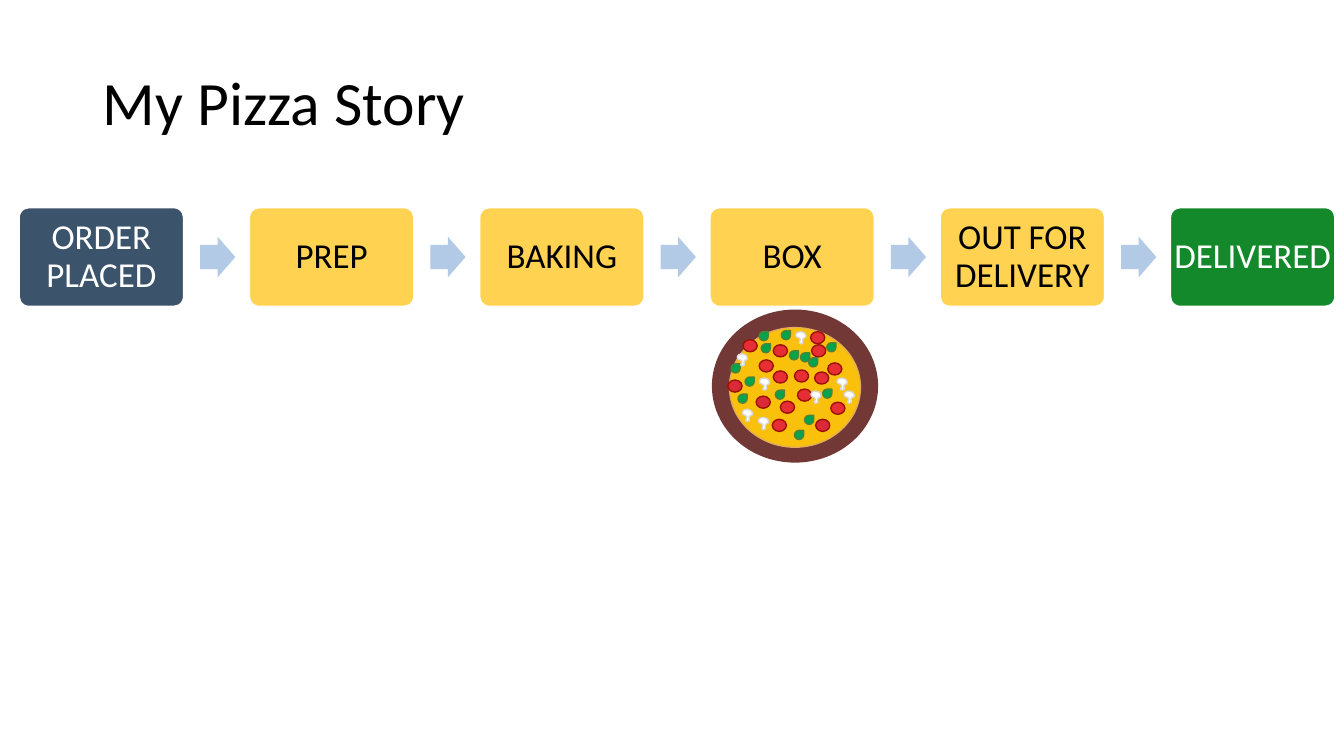
from lxml.etree import SubElement
from pptx import Presentation
from pptx.dml.color import RGBColor
from pptx.enum.shapes import MSO_SHAPE
from pptx.enum.text import MSO_ANCHOR, PP_ALIGN
from pptx.oxml.ns import qn
from pptx.util import Inches, Pt

COLORS = {
    "black": "000000", "white": "FFFFFF",
    "navy": "3B536B", "yellow": "FFD351", "green": "13892B", "arrow": "B3CAE7",
    "crust": "723836", "crust_fill": "E4AD56", "cheese": "F9C00C",
    "tomato": "E72E34", "dark_tomato": "DA2A37", "tomato_edge": "9C1200",
    "basil": "02A44D", "basil_edge": "548135", "mushroom_edge": "D8D8D8",
}
STEPS = [
    ("ORDER PLACED", "navy", "white"),
    ("PREP", "yellow", "black"),
    ("BAKING", "yellow", "black"),
    ("BOX", "yellow", "black"),
    ("OUT FOR DELIVERY", "yellow", "black"),
    ("DELIVERED", "green", "white"),
]

# Topping corners in hundredths of an inch from the pizza's top left
TOMATOES = [(54, 54), (40, 43), (78, 72), (61, 84), (54, 28), (53, 102), (95, 55),
            (75, 53), (108, 46), (111, 85), (24, 23), (91, 15), (92, 28)]
DARK_TOMATOES = [(37, 79), (9, 63), (96, 102)]
BASIL = [(56, 73), (85, 98), (19, 77), (103, 72), (89, 41), (75, 113), (62, 14),
         (42, 27), (12, 47), (26, 60), (107, 26), (81, 36), (70, 34), (40, 15)]
MUSHROOMS = [(76, 15), (124, 74), (91, 74), (40, 61), (18, 37), (23, 92),
             (117, 61), (39, 100)]
# Mushroom outline in hundredths: start, then two handles and an end per curve
MUSHROOM_SIZE = (10, 12)
MUSHROOM_START = (3, 6)
MUSHROOM_CURVES = [
    ((-1, 6), (-1, 0), (5, 0)),
    ((11, 0), (12, 7), (8, 6.5)),
    ((5, 8), (10, 12), (5, 12)),
    ((1, 12), (8, 7), (3, 6)),
]


def color(name):
    return RGBColor.from_string(COLORS[name])


def write(frame, text, size, ink, align=PP_ALIGN.LEFT, margins=(0, 0)):
    frame.word_wrap = True
    frame.vertical_anchor = MSO_ANCHOR.MIDDLE
    frame.margin_left = frame.margin_right = Inches(margins[0])
    frame.margin_top = frame.margin_bottom = Inches(margins[1])
    paragraph = frame.paragraphs[0]
    paragraph.alignment = align
    paragraph.line_spacing = 0.9
    run = paragraph.add_run()
    run.text = text
    run.font.name = "Calibri"
    run.font.size = Pt(size)
    run.font.color.rgb = color(ink)


def paint(shape, fill, edge=None, weight=1):
    shape.shadow.inherit = False
    shape.fill.solid()
    shape.fill.fore_color.rgb = color(fill)
    if edge:
        shape.line.color.rgb = color(edge)
        shape.line.width = Pt(weight)
    else:
        shape.line.fill.background()


def draw(shapes, kind, box, fill, edge=None, weight=1, adjust=()):
    shape = shapes.add_shape(kind, *[Inches(length) for length in box])
    for index, value in enumerate(adjust):
        shape.adjustments[index] = value
    paint(shape, fill, edge, weight)
    return shape


def add_title(slide, left, top, width, height):
    title = slide.shapes.title
    title.left, title.top = Inches(left), Inches(top)
    title.width, title.height = Inches(width), Inches(height)
    write(title.text_frame, "My Pizza Story", 44, "black", margins=(0.1, 0.05))


def add_process(slide, left, top, width, height):
    # Each step is followed by a gap of 0.4 step widths
    step_width = width / (len(STEPS) + 0.4 * (len(STEPS) - 1))
    pitch = 1.4 * step_width
    arrow_width, arrow_height = 0.35, 0.4
    for index, (label, fill, ink) in enumerate(STEPS):
        step_left = left + index * pitch
        step = draw(slide.shapes, MSO_SHAPE.ROUNDED_RECTANGLE,
                    (step_left, top, step_width, height), fill, "white", adjust=[0.1])
        write(step.text_frame, label, 25, ink, align=PP_ALIGN.CENTER)
        if index < len(STEPS) - 1:
            draw(slide.shapes, MSO_SHAPE.RIGHT_ARROW,
                 (step_left + 1.1 * step_width, top + (height - arrow_height) / 2,
                  arrow_width, arrow_height), "arrow", adjust=[0.6, 0.5])


def add_mushroom(shapes, left, top):
    unit = Inches(0.01)
    width, height = [side * unit for side in MUSHROOM_SIZE]
    builder = shapes.build_freeform(Inches(left), Inches(top))
    builder.add_line_segments([(Inches(left) + width, Inches(top) + height)])
    mushroom = builder.convert_to_shape()
    paint(mushroom, "white", "mushroom_edge")

    # Bend the outline into curves
    outline = next(mushroom.element.iter(qn("a:path")))
    for command in list(outline):
        outline.remove(command)
    commands = [("a:moveTo", [MUSHROOM_START])]
    commands += [("a:cubicBezTo", curve) for curve in MUSHROOM_CURVES]
    for tag, points in commands + [("a:close", [])]:
        command = SubElement(outline, qn(tag))
        for x, y in points:
            SubElement(command, qn("a:pt"), x=str(int(x * unit)), y=str(int(y * unit)))


def add_pizza(slide, left, top, width, height):
    pizza = slide.shapes.add_group_shape().shapes

    # Crust and cheese
    draw(pizza, MSO_SHAPE.DONUT, (left, top, width, height),
         "crust_fill", "crust", weight=10, adjust=[0.068])
    draw(pizza, MSO_SHAPE.OVAL,
         (left + 0.07 * width, top + 0.08 * height, 0.86 * width, 0.86 * height),
         "cheese", "crust_fill")

    # Tomatoes and basil
    toppings = [
        (TOMATOES, MSO_SHAPE.OVAL, 0.14, 0.12, "tomato", "tomato_edge"),
        (DARK_TOMATOES, MSO_SHAPE.OVAL, 0.14, 0.12, "dark_tomato", "tomato_edge"),
        (BASIL, MSO_SHAPE.TEAR, 0.09, 0.09, "basil", "basil_edge"),
    ]
    for corners, kind, piece_width, piece_height, fill, edge in toppings:
        for x, y in corners:
            draw(pizza, kind, (left + x / 100, top + y / 100, piece_width, piece_height),
                 fill, edge)

    # Mushrooms
    for x, y in MUSHROOMS:
        add_mushroom(pizza, left + x / 100, top + y / 100)


def main():
    presentation = Presentation()
    presentation.slide_width = Inches(13.33)
    presentation.slide_height = Inches(7.5)
    slide = presentation.slides.add_slide(presentation.slide_layouts[5])
    add_title(slide, 0.92, 0.59, 11.5, 0.92)
    add_process(slide, 0.19, 2.06, 13.05, 0.98)
    add_pizza(slide, 7.13, 3.14, 1.51, 1.38)
    presentation.save("out.pptx")


if __name__ == "__main__":
    main()
